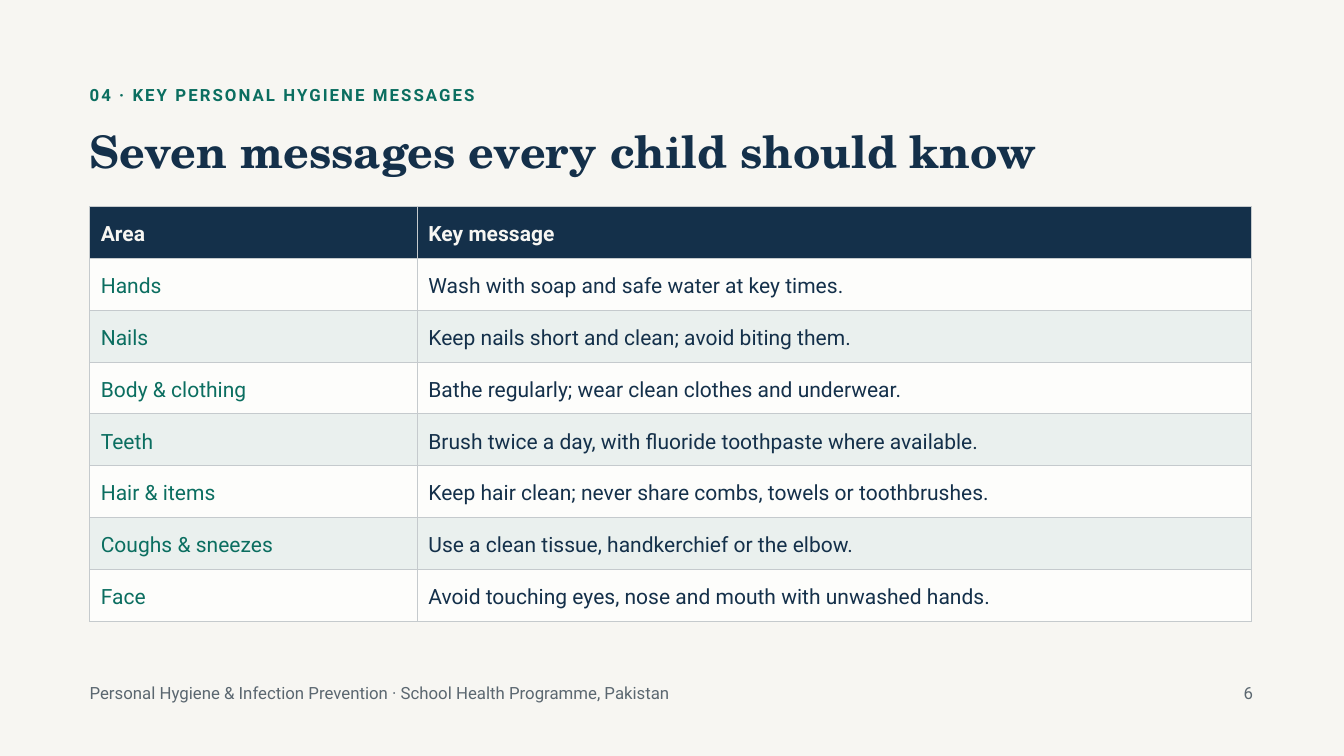
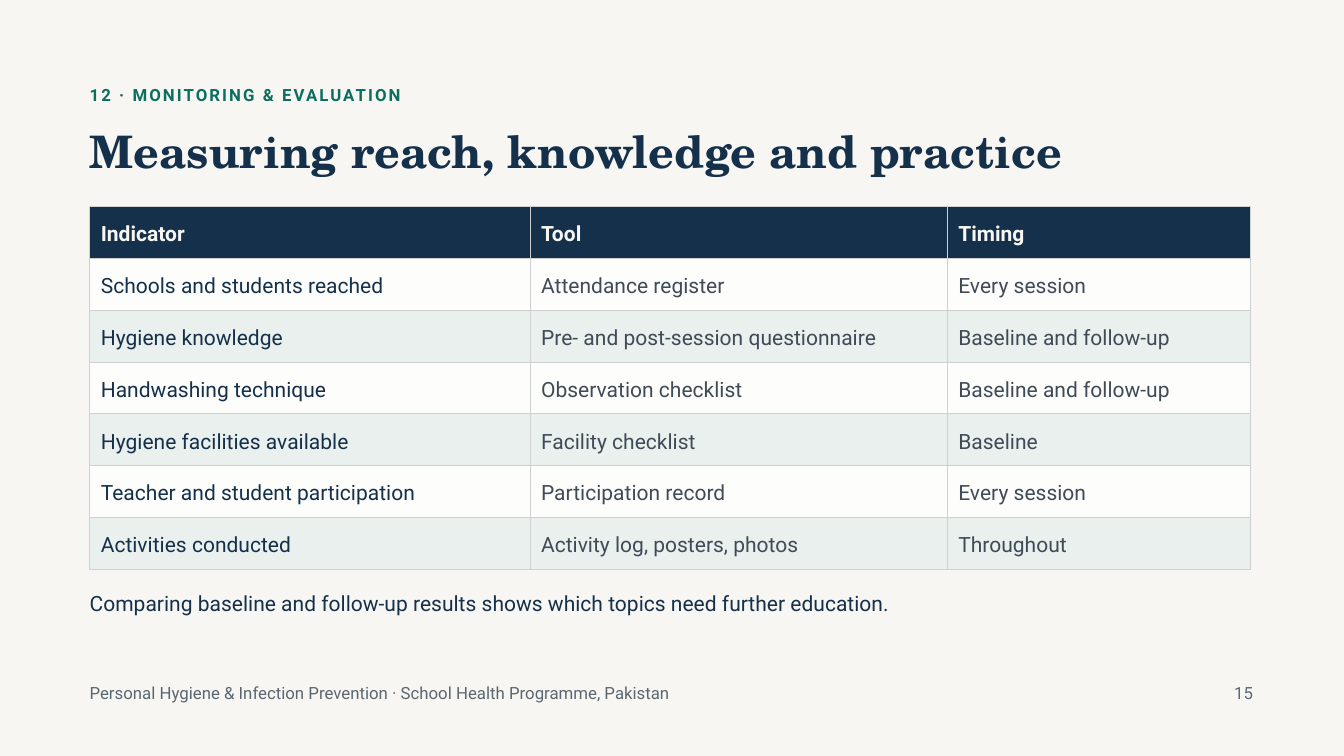
from dataclasses import dataclass

from lxml.etree import SubElement
from pptx import Presentation
from pptx.dml.color import RGBColor
from pptx.enum.text import MSO_ANCHOR, MSO_AUTO_SIZE, PP_ALIGN
from pptx.oxml.ns import qn
from pptx.util import Emu, Pt

EMU_PER_PX = 9525
LEFT = 128
TEXT_WIDTH = 1714
NUMBER_RIGHT = 1790
TABLE_TOP = 295
ROW_HEIGHT = 72
CELL_MARGIN = 16
FOOTER_TOP = 971
FOOTER = "Personal Hygiene & Infection Prevention · School Health Programme, Pakistan"


@dataclass(frozen=True)
class Theme:
    paper: str = "F7F6F2"
    navy: str = "14304A"
    green: str = "0B6E60"
    slate: str = "3F4B57"
    muted: str = "5B6770"
    row_light: str = "FDFDFB"
    row_tint: str = "EAF0EE"
    body_font: str = "Roboto"
    title_font: str = "TeX Gyre Schola"
    small: float = 18
    body: float = 22.5
    title: float = 48
    small_line: float = 25.2
    body_line: float = 31.5
    title_line: float = 55.2


THEME = Theme()


def px(length):
    return Emu(length * EMU_PER_PX)


def write(text_frame, text, *, size=THEME.body, line=THEME.body_line, color=THEME.navy,
          font=THEME.body_font, bold=False, tracking=0, align=PP_ALIGN.LEFT):
    """Put one formatted run in the frame; tracking is letter spacing in points."""
    paragraph = text_frame.paragraphs[0]
    paragraph.alignment = align
    paragraph.line_spacing = Pt(line)
    run = paragraph.add_run()
    run.text = text
    run.font.name = font
    run.font.size = Pt(size)
    run.font.bold = bold
    run.font.color.rgb = RGBColor.from_string(color)
    if tracking:
        run._r.get_or_add_rPr().set("spc", str(round(tracking * 100)))


def set_margins(target, margin):
    for side in ("left", "right", "top", "bottom"):
        setattr(target, f"margin_{side}", px(margin))


def fit_frame(text_frame):
    set_margins(text_frame, 0)
    text_frame.word_wrap = True
    text_frame.auto_size = MSO_AUTO_SIZE.SHAPE_TO_FIT_TEXT
    text_frame.vertical_anchor = MSO_ANCHOR.TOP


def add_borders(cell, color):
    properties = cell._tc.get_or_add_tcPr()
    for edge in ("lnL", "lnR", "lnT", "lnB"):
        border = SubElement(properties, qn(f"a:{edge}"), w=str(Pt(1)))
        fill = SubElement(border, qn("a:solidFill"))
        SubElement(fill, qn("a:srgbClr"), val=color)


class Deck:
    def __init__(self, theme):
        self.theme = theme
        self.presentation = Presentation()
        self.presentation.slide_width = px(1920)
        self.presentation.slide_height = px(1080)
        background = self.presentation.slide_master.background.fill
        background.solid()
        background.fore_color.rgb = RGBColor.from_string(theme.paper)
        self.slide = None

    def start_slide(self, section, title, number):
        layout = self.presentation.slide_layouts.get_by_name("Title Only")
        self.slide = self.presentation.slides.add_slide(layout)
        self.small_text(section, LEFT, 116, TEXT_WIDTH,
                        color=self.theme.green, bold=True, tracking=2.2)
        self.title(title)
        self.small_text(FOOTER, LEFT, FOOTER_TOP, 864)
        self.small_text(str(number), NUMBER_RIGHT - 36, FOOTER_TOP, 36, align=PP_ALIGN.RIGHT)

    def title(self, text):
        shape = self.slide.shapes.title
        shape.left, shape.top, shape.width, shape.height = map(px, (LEFT, 180, TEXT_WIDTH, 71))
        fit_frame(shape.text_frame)
        write(shape.text_frame, text, size=self.theme.title, line=self.theme.title_line,
              font=self.theme.title_font, bold=True)

    def text(self, text, left, top, width, height, **text_format):
        shape = self.slide.shapes.add_textbox(*map(px, (left, top, width, height)))
        fit_frame(shape.text_frame)
        write(shape.text_frame, text, **text_format)

    def small_text(self, text, left, top, width, **text_format):
        text_format.setdefault("color", self.theme.muted)
        self.text(text, left, top, width, 50, size=self.theme.small,
                  line=self.theme.small_line, **text_format)

    def table(self, rows, column_widths, column_colors, border):
        """Draw a table whose first row is the header and whose body rows alternate."""
        frame = self.slide.shapes.add_table(
            len(rows), len(column_widths), px(LEFT), px(TABLE_TOP),
            px(sum(column_widths)), px(ROW_HEIGHT * len(rows)))
        table = frame.table
        for column, width in zip(table.columns, column_widths):
            column.width = px(width)
        for row_index, row in enumerate(rows):
            header = row_index == 0
            stripe = self.theme.row_light if row_index % 2 else self.theme.row_tint
            fill = self.theme.navy if header else stripe
            for column_index, text in enumerate(row):
                cell = table.cell(row_index, column_index)
                set_margins(cell, CELL_MARGIN)
                add_borders(cell, border)
                cell.fill.solid()
                cell.fill.fore_color.rgb = RGBColor.from_string(fill)
                color = self.theme.paper if header else column_colors[column_index]
                write(cell.text_frame, text, color=color, bold=header)


def add_messages(deck):
    deck.start_slide("04 · KEY PERSONAL HYGIENE MESSAGES",
                     "Seven messages every child should know", 6)
    messages = [
        ("Area", "Key message"),
        ("Hands", "Wash with soap and safe water at key times."),
        ("Nails", "Keep nails short and clean; avoid biting them."),
        ("Body & clothing", "Bathe regularly; wear clean clothes and underwear."),
        ("Teeth", "Brush twice a day, with fluoride toothpaste where available."),
        ("Hair & items", "Keep hair clean; never share combs, towels or toothbrushes."),
        ("Coughs & sneezes", "Use a clean tissue, handkerchief or the elbow."),
        ("Face", "Avoid touching eyes, nose and mouth with unwashed hands."),
    ]
    deck.table(messages, (468, 1192), (THEME.green, THEME.navy), border="C5CACD")


def add_monitoring(deck):
    deck.start_slide("12 · MONITORING & EVALUATION",
                     "Measuring reach, knowledge and practice", 15)
    indicators = [
        ("Indicator", "Tool", "Timing"),
        ("Schools and students reached", "Attendance register", "Every session"),
        ("Hygiene knowledge", "Pre- and post-session questionnaire", "Baseline and follow-up"),
        ("Handwashing technique", "Observation checklist", "Baseline and follow-up"),
        ("Hygiene facilities available", "Facility checklist", "Baseline"),
        ("Teacher and student participation", "Participation record", "Every session"),
        ("Activities conducted", "Activity log, posters, photos", "Throughout"),
    ]
    deck.table(indicators, (629, 596, 433), (THEME.navy, THEME.slate, THEME.slate),
               border="CFD0D0")
    deck.text("Comparing baseline and follow-up results shows which topics need "
              "further education.", LEFT, 838, TEXT_WIDTH, 58)


def main():
    deck = Deck(THEME)
    add_messages(deck)
    add_monitoring(deck)
    deck.presentation.save("out.pptx")


if __name__ == "__main__":
    main()
